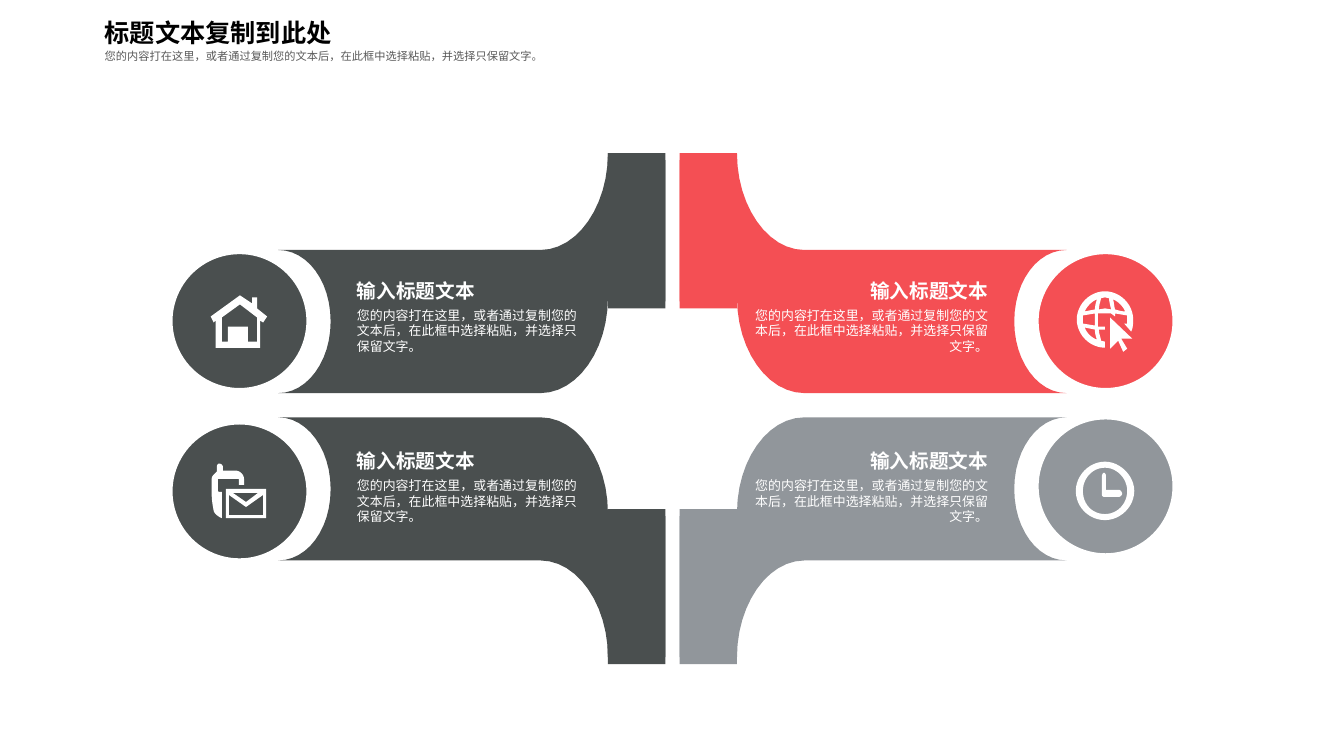
"""Build a slide of four mirrored bands, each with an icon, a heading and a text."""
from lxml import etree
from pptx import Presentation
from pptx.dml.color import RGBColor
from pptx.enum.shapes import MSO_SHAPE
from pptx.enum.text import MSO_ANCHOR, PP_ALIGN
from pptx.oxml.ns import qn
from pptx.util import Inches, Pt

RECTANGLE, OVAL = MSO_SHAPE.RECTANGLE, MSO_SHAPE.OVAL
TOP, MIDDLE = MSO_ANCHOR.TOP, MSO_ANCHOR.MIDDLE
LEFT, RIGHT = PP_ALIGN.LEFT, PP_ALIGN.RIGHT
CJK_FONT = "Noto Sans CJK SC"
DARK, RED, GREY, WHITE = "4A4F4F", "F44F54", "91969B", "FFFFFF"
AXIS_X, AXIS_Y = 6.67, 4.02
CURVE_STEPS = 12
BODY = "您的内容打在这里，或者通过复制您的文本后，在此框中选择粘贴，并选择只保留文字。"


def add_outline(parent, contours, colour):
    """Draw contours whose entries are points (2 numbers) or cubic curves (6 numbers)."""
    builder = None
    for start, *segments in contours:
        points, (x0, y0) = [], start
        for segment in segments:
            if len(segment) == 2:
                points.append(segment)
            else:
                x1, y1, x2, y2, x3, y3 = segment
                for step in range(1, CURVE_STEPS + 1):
                    t = step / CURVE_STEPS
                    a, b, c, d = (1 - t) ** 3, 3 * t * (1 - t) ** 2, 3 * t * t * (1 - t), t ** 3
                    points.append((a * x0 + b * x1 + c * x2 + d * x3,
                                   a * y0 + b * y1 + c * y2 + d * y3))
            x0, y0 = segment[-2:]
        if builder is None:
            builder = parent.build_freeform(Inches(start[0]), Inches(start[1]))
        else:
            builder.move_to(Inches(start[0]), Inches(start[1]))
        builder.add_line_segments([(Inches(x), Inches(y)) for x, y in points], close=True)
    outline = builder.convert_to_shape()
    outline.shadow.inherit = False
    outline.fill.solid()
    outline.fill.fore_color.rgb = RGBColor.from_string(colour)
    outline.line.fill.background()


def add_text(parent, box, text, size, colour, bold=False, font="Arial", align=LEFT,
             anchor=TOP, insets=(0.1, 0.05, 0.1, 0.05), spacing=None):
    """Add a one-paragraph text box."""
    frame = parent.add_textbox(*map(Inches, box)).text_frame
    frame.word_wrap = True
    frame.vertical_anchor = anchor
    frame.margin_left, frame.margin_top, frame.margin_right, frame.margin_bottom = map(Inches, insets)
    paragraph = frame.paragraphs[0]
    paragraph.alignment = align
    paragraph.line_spacing = spacing
    run = paragraph.add_run()
    run.text = text
    run.font.size, run.font.bold, run.font.name = Pt(size), bold, font
    run.font.color.rgb = RGBColor.from_string(colour)
    etree.SubElement(run._r.get_or_add_rPr(), qn("a:ea")).set("typeface", CJK_FONT)


band = [(6.03, 2.95), (6.03, 3.47, 5.73, 3.9, 5.36, 3.9), (2.76, 3.9),
        (3.05, 3.9, 3.28, 3.58, 3.28, 3.19), (3.28, 2.79, 3.05, 2.48, 2.76, 2.48),
        (5.36, 2.48), (5.73, 2.48, 6.03, 2.04, 6.03, 1.52)]

house = [
    [(2.65, 3.14), (2.55, 3.06), (2.55, 2.95), (2.5, 2.95), (2.5, 3.01), (2.38, 2.93),
     (2.09, 3.14), (2.12, 3.2), (2.14, 3.18), (2.14, 3.45), (2.58, 3.45), (2.58, 3.18),
     (2.61, 3.2)],
    [(2.55, 3.39), (2.46, 3.39), (2.46, 3.24), (2.26, 3.24), (2.26, 3.39), (2.2, 3.39),
     (2.2, 3.15), (2.38, 3.02), (2.55, 3.15)]]

envelope = [
    [(2.24, 4.85), (2.24, 5.14), (2.64, 5.14), (2.64, 4.85)],
    [(2.56, 4.89), (2.44, 4.98), (2.31, 4.89)],
    [(2.61, 5.11), (2.27, 5.11), (2.27, 4.91), (2.44, 5.03), (2.61, 4.91)]]
phone = [
    [(2.16, 4.87), (2.16, 4.76), (2.16, 4.75, 2.17, 4.75, 2.17, 4.75), (2.35, 4.75),
     (2.36, 4.75, 2.37, 4.75, 2.37, 4.76), (2.37, 4.81), (2.42, 4.81), (2.42, 4.75),
     (2.42, 4.71, 2.38, 4.67, 2.34, 4.67), (2.21, 4.67), (2.21, 4.63),
     (2.21, 4.62, 2.2, 4.6, 2.17, 4.6), (2.16, 4.6, 2.15, 4.62, 2.15, 4.63), (2.15, 4.68),
     (2.13, 4.7, 2.1, 4.72, 2.1, 4.75), (2.1, 4.91), (2.1, 4.96, 2.11, 5.02, 2.12, 5.07),
     (2.13, 5.1, 2.17, 5.13, 2.2, 5.14), (2.2, 4.88), (2.17, 4.88)]]

pointer = [[(11.01, 3.15), (11.01, 3.46), (11.09, 3.38), (11.14, 3.49), (11.18, 3.46),
            (11.12, 3.36), (11.23, 3.36)]]
globe = [
    [(11.24, 3.17), (11.24, 3.02, 11.11, 2.89, 10.96, 2.89),
     (10.81, 2.89, 10.68, 3.02, 10.68, 3.17), (10.68, 3.32, 10.81, 3.45, 10.96, 3.45),
     (10.96, 3.39), (10.92, 3.38), (10.92, 3.35, 10.9, 3.32, 10.9, 3.27), (10.96, 3.27),
     (10.96, 3.24), (10.89, 3.24), (10.89, 3.11), (11.02, 3.11), (11.06, 3.14),
     (11.06, 3.11), (11.18, 3.13), (11.18, 3.21), (11.15, 3.21), (11.22, 3.29),
     (11.23, 3.27, 11.24, 3.24, 11.24, 3.17)],
    [(10.88, 2.97), (10.87, 3, 10.86, 3.04, 10.86, 3.07), (10.76, 3.09),
     (10.78, 3.04, 10.83, 2.99, 10.88, 2.97)],
    [(10.88, 3.37), (10.83, 3.35, 10.78, 3.31, 10.76, 3.25), (10.86, 3.27),
     (10.86, 3.31, 10.87, 3.34, 10.88, 3.37)],
    [(10.86, 3.23), (10.74, 3.21), (10.74, 3.13), (10.86, 3.11)],
    [(10.96, 3.06), (10.9, 3.07), (10.9, 3.02, 10.92, 2.98, 10.92, 2.96),
     (10.96, 2.95), (11, 2.96), (11, 2.98, 11.01, 3.02, 11.02, 3.07)],
    [(11.06, 3.07), (11.05, 3.04, 11.05, 3, 11.04, 2.97),
     (11.09, 2.99, 11.14, 3.04, 11.16, 3.09), (11.13, 3.09, 11.09, 3.08, 11.06, 3.07)]]

clock_face = [
    [(10.96, 4.58), (10.8, 4.58, 10.67, 4.72, 10.67, 4.87),
     (10.67, 5.03, 10.8, 5.16, 10.96, 5.16), (11.11, 5.16, 11.25, 5.03, 11.25, 4.87),
     (11.25, 4.72, 11.11, 4.58, 10.96, 4.58)],
    [(10.96, 5.1), (10.83, 5.1, 10.74, 5, 10.74, 4.87),
     (10.74, 4.75, 10.83, 4.64, 10.96, 4.64), (11.08, 4.64, 11.18, 4.75, 11.18, 4.87),
     (11.18, 5, 11.08, 5.1, 10.96, 5.1)]]
clock_hands = [
    [(11.1, 4.86), (10.97, 4.86), (10.97, 4.72), (10.97, 4.71, 10.96, 4.69, 10.95, 4.69),
     (10.94, 4.69, 10.93, 4.71, 10.93, 4.72), (10.93, 4.91),
     (10.93, 4.92, 10.94, 4.93, 10.95, 4.93), (11.1, 4.93),
     (11.11, 4.93, 11.13, 4.91, 11.13, 4.9), (11.13, 4.88, 11.11, 4.86, 11.1, 4.86)]]

quadrants = [
    (False, False, DARK, 2.49, [house]),
    (False, True, DARK, 4.18, [envelope, phone]),
    (True, False, RED, 2.49, [pointer, globe]),
    (True, True, GREY, 4.13, [clock_face, clock_hands])]

presentation = Presentation()
presentation.slide_width, presentation.slide_height = Inches(13.33), Inches(7.5)
slide = presentation.slides.add_slide(presentation.slide_layouts[6])

for on_right, on_bottom, colour, circle_top, icon in quadrants:
    quadrant = slide.shapes.add_group_shape().shapes
    mirrored_band = [
        tuple(2 * AXIS_X - v if i % 2 == 0 and on_right
              else 2 * AXIS_Y - v if i % 2 and on_bottom else v
              for i, v in enumerate(segment))
        for segment in band]
    add_outline(quadrant, [mirrored_band], colour)

    stem_left = 6.74 if on_right else 6.03
    circle_left = 10.27 if on_right else 1.68
    stem_tops = (5.12, 5.05) if on_bottom else (1.59, 1.52)
    solids = [(RECTANGLE, stem_left, top, 0.57, 1.47) for top in stem_tops]
    solids.append((OVAL, circle_left, circle_top, 1.39, 1.39))
    for preset, *box in solids:
        solid = quadrant.add_shape(preset, *map(Inches, box))
        solid.shadow.inherit = False
        solid.fill.solid()
        solid.fill.fore_color.rgb = RGBColor.from_string(colour)
        if preset == OVAL:
            solid.line.color.rgb = RGBColor.from_string(WHITE)
            solid.line.width = Pt(4.5)
        else:
            solid.line.fill.background()
    for part in icon:
        add_outline(quadrant, part, WHITE)

    text_left, text_width = (7.08, 3.19) if on_right else (3.07, 3.15)
    insets = (0.39, 0, 0.47, 0) if on_right else (0.47, 0, 0.39, 0)
    align = RIGHT if on_right else LEFT
    heading_top = 4.4 if on_bottom else 2.71
    add_text(quadrant, (text_left, heading_top, text_width, 0.34), "输入标题文本", 14, WHITE,
             bold=True, align=align, anchor=MIDDLE, insets=insets)
    add_text(quadrant, (text_left, heading_top + 0.34, text_width, 0.61), BODY, 9.2, WHITE,
             align=align, insets=insets)

add_text(slide.shapes, (0.94, 0.03, 3.56, 0.49), "标题文本复制到此处", 18, "000000",
         bold=True, font=CJK_FONT, spacing=1.3)
add_text(slide.shapes, (0.94, 0.37, 6.26, 0.3), BODY, 8, "595959", font=CJK_FONT, spacing=1.5)

presentation.save("out.pptx")
